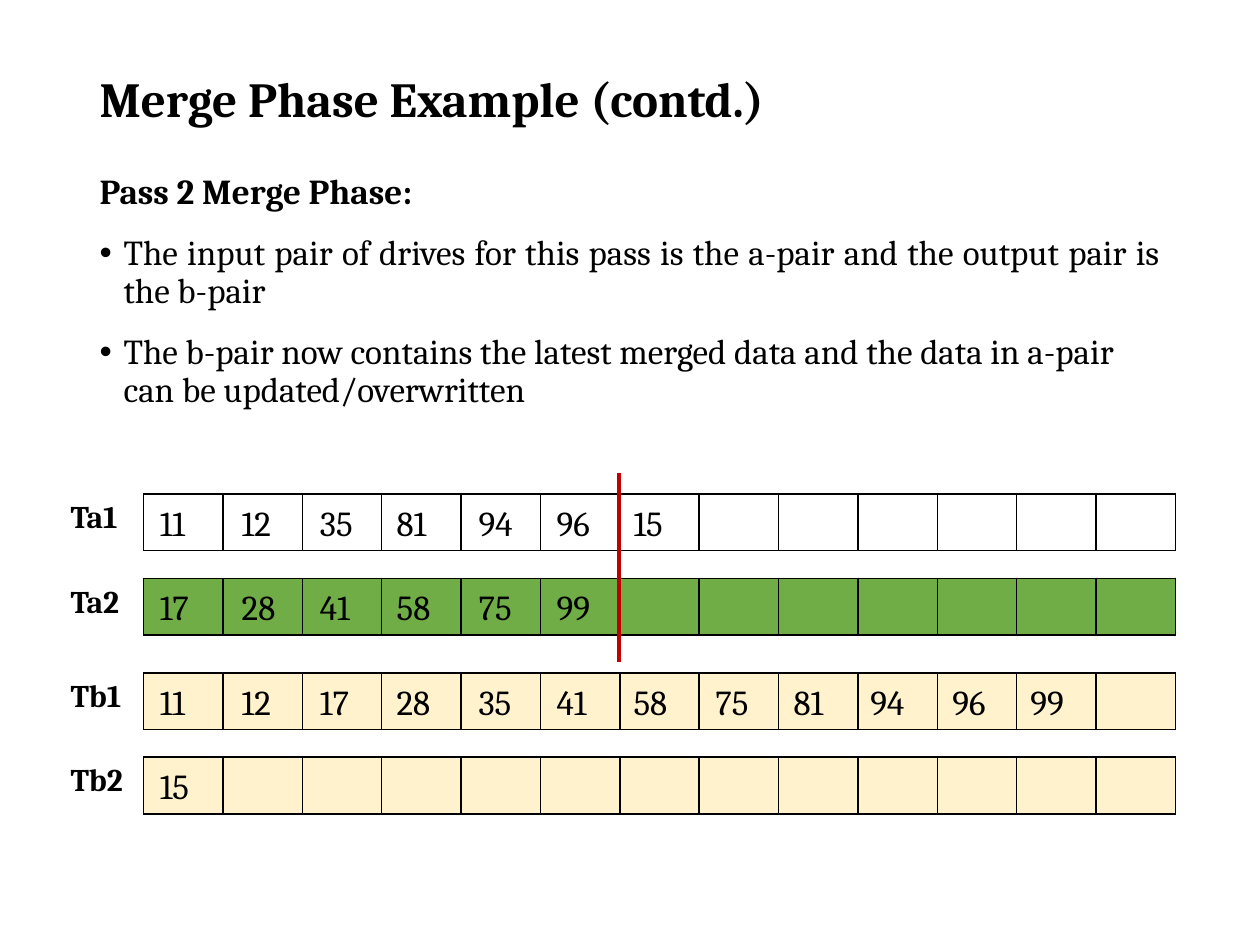
"""Build the merge phase slide with its four tape rows."""
from dataclasses import dataclass

from lxml.etree import SubElement
from pptx import Presentation
from pptx.dml.color import RGBColor
from pptx.enum.shapes import MSO_CONNECTOR
from pptx.enum.text import MSO_ANCHOR, MSO_AUTO_SIZE, PP_ALIGN
from pptx.oxml.ns import qn
from pptx.util import Inches, Pt

BLACK = RGBColor(0x00, 0x00, 0x00)
WHITE = RGBColor(0xFF, 0xFF, 0xFF)
GREEN = RGBColor(0x70, 0xAD, 0x47)
CREAM = RGBColor(0xFF, 0xF2, 0xCC)
RED = RGBColor(0xC0, 0x00, 0x00)

FONT = "Cambria"
SLOTS = 13
LEFT, LABEL_W, SLOT_W, ROW_H = 0.46, 0.68, 0.63, 0.45
VALUE_LEFT, TRIPLE_W, VALUE_STEPS = 1.17, 1.88, (0, 0.65, 1.27)


@dataclass
class Tape:
    name: str
    top: float
    color: RGBColor
    values: tuple[int, ...]


TAPES = [
    Tape("Ta1", 3.92, WHITE, (11, 12, 35, 81, 94, 96, 15)),
    Tape("Ta2", 4.59, GREEN, (17, 28, 41, 58, 75, 99)),
    Tape("Tb1", 5.34, CREAM, (11, 12, 17, 28, 35, 41, 58, 75, 81, 94, 96, 99)),
    Tape("Tb2", 6.01, CREAM, (15,)),
]

BODY = [
    ("Pass 2 Merge Phase:", PP_ALIGN.LEFT),
    ("The input pair of drives for this pass is the a-pair and the output "
     "pair is the b-pair", PP_ALIGN.JUSTIFY),
    ("The b-pair now contains the latest merged data and the data in a-pair "
     "can be updated/overwritten", PP_ALIGN.LEFT),
]


def format_runs(p, size: float, bold: bool = False) -> None:
    for r in p.runs:
        r.font.name = FONT
        r.font.size = Pt(size)
        r.font.bold = bold
        r.font.color.rgb = BLACK


def place(sp, left: float, top: float, width: float, height: float) -> None:
    sp.left, sp.top = Inches(left), Inches(top)
    sp.width, sp.height = Inches(width), Inches(height)


def add_title(s) -> None:
    sp = s.shapes.title
    place(sp, 0.69, 0.08, 8.62, 1.45)
    tf = sp.text_frame
    tf.text = "Merge Phase Example (contd.)"
    tf.auto_size = MSO_AUTO_SIZE.NONE
    tf.vertical_anchor = MSO_ANCHOR.MIDDLE
    p = tf.paragraphs[0]
    p.alignment = PP_ALIGN.LEFT
    p.line_spacing = 0.9
    format_runs(p, 28, bold=True)


def add_body(s) -> None:
    sp = s.placeholders[1]
    place(sp, 0.69, 1.33, 8.62, 2.42)
    tf = sp.text_frame
    tf.text = "\n".join(text for text, _ in BODY)
    tf.auto_size = MSO_AUTO_SIZE.NONE
    for i, (p, (_, align)) in enumerate(zip(tf.paragraphs, BODY)):
        p.alignment = align
        p.line_spacing = 0.9
        p.space_before = Pt(13.5 if i else 0)
        format_runs(p, 20, bold=i == 0)
        pPr = p._p.get_or_add_pPr()
        pPr.set("marL", str(Inches(0.19)))
        pPr.set("indent", str(Inches(-0.19)))
        if i:
            SubElement(pPr, qn("a:buFont"), typeface="Arial")
            SubElement(pPr, qn("a:buChar"), char="•")
        else:
            SubElement(pPr, qn("a:buNone"))


def set_borders(cell, sides: str) -> None:
    tcPr = cell._tc.get_or_add_tcPr()
    for side in "LRTB":
        ln = SubElement(tcPr, qn(f"a:ln{side}"), w=str(Pt(1)))
        if side in sides:
            fill = SubElement(ln, qn("a:solidFill"))
            SubElement(fill, qn("a:srgbClr"), val=str(BLACK))
        else:
            SubElement(ln, qn("a:noFill"))


def add_tape_table(s, tape: Tape) -> None:
    width = LABEL_W + SLOTS * SLOT_W
    table = s.shapes.add_table(1, SLOTS + 1, Inches(LEFT), Inches(tape.top),
                               Inches(width), Inches(ROW_H)).table
    table.first_row = table.horz_banding = False
    for i, column in enumerate(table.columns):
        column.width = Inches(SLOT_W if i else LABEL_W)
        cell = table.cell(0, i)
        set_borders(cell, "LRTB" if i else "R")
        cell.fill.solid()
        cell.fill.fore_color.rgb = tape.color if i else WHITE
    label = table.cell(0, 0)
    label.text = tape.name
    format_runs(label.text_frame.paragraphs[0], 18, bold=True)


def add_values(s, tape: Tape) -> None:
    group = s.shapes.add_group_shape()
    for i, value in enumerate(tape.values):
        left = VALUE_LEFT + TRIPLE_W * (i // 3) + VALUE_STEPS[i % 3]
        sp = group.shapes.add_textbox(Inches(left), Inches(tape.top + 0.01),
                                      Inches(0.51), Inches(0.44))
        tf = sp.text_frame
        tf.word_wrap = True
        tf.auto_size = MSO_AUTO_SIZE.SHAPE_TO_FIT_TEXT
        tf.text = str(value)
        format_runs(tf.paragraphs[0], 20)


def add_run_marker(s) -> None:
    line = s.shapes.add_connector(MSO_CONNECTOR.STRAIGHT, Inches(4.91),
                                  Inches(3.75), Inches(4.91), Inches(5.25))
    line.line.color.rgb = RED
    line.line.width = Pt(2.25)
    SubElement(line._element.spPr, qn("a:effectLst"))


def main() -> None:
    prs = Presentation()
    prs.slide_width, prs.slide_height = Inches(10), Inches(7.5)
    s = prs.slides.add_slide(prs.slide_layouts[1])
    add_title(s)
    add_body(s)
    for tape in TAPES:
        add_tape_table(s, tape)
    for tape in TAPES:
        add_values(s, tape)
    add_run_marker(s)
    prs.save("out.pptx")


if __name__ == "__main__":
    main()
